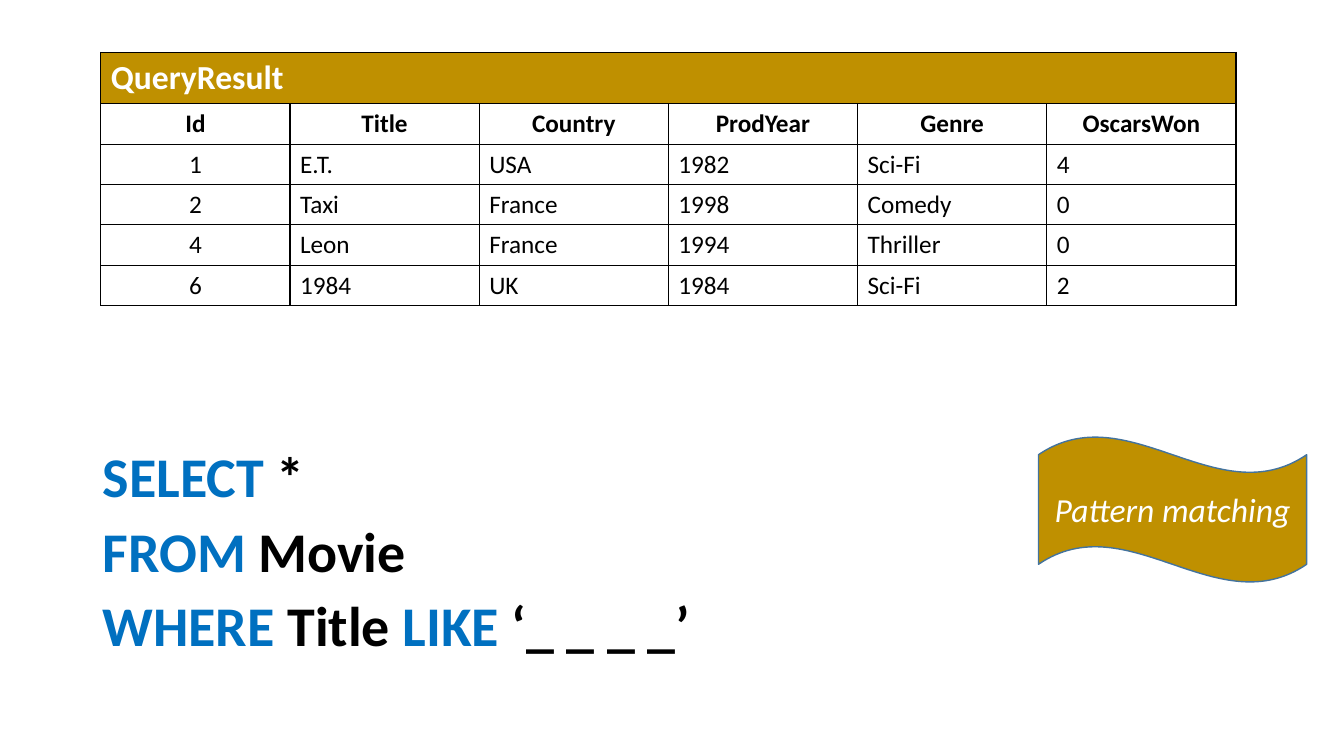
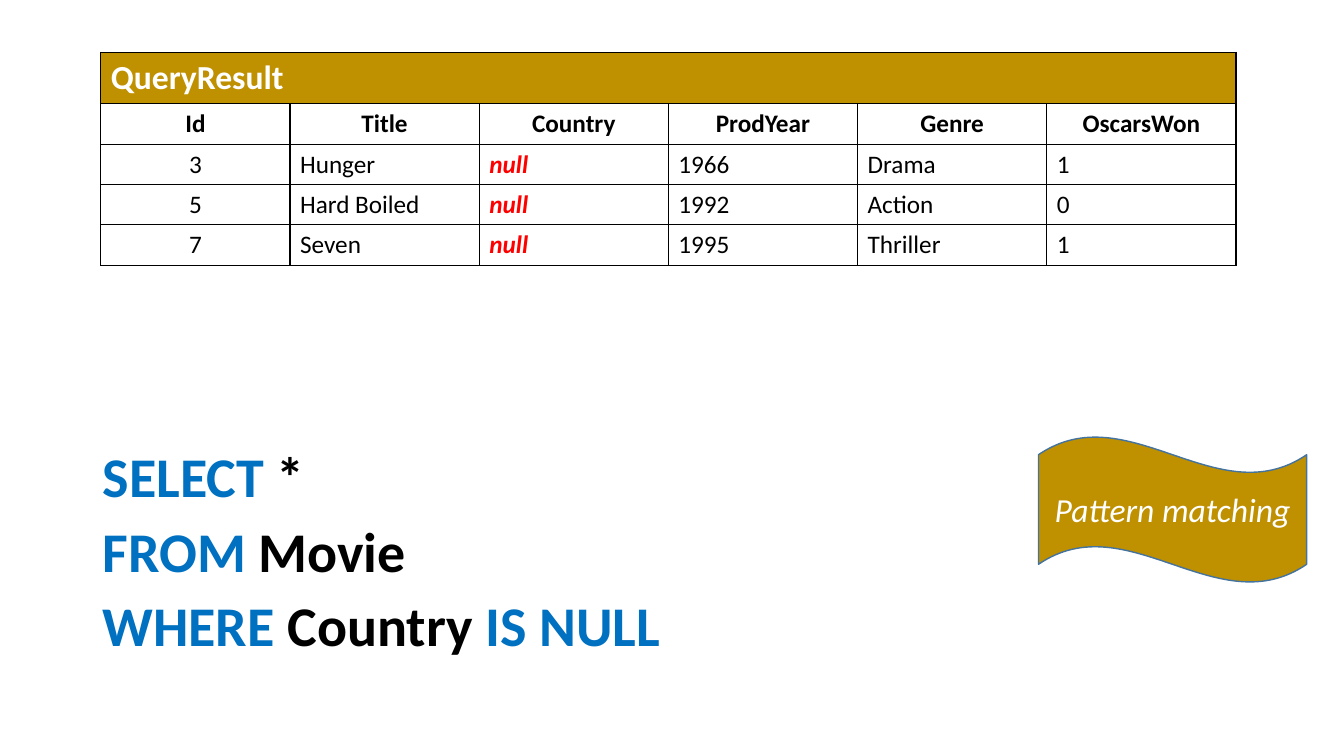
import pptx
import pptx.dml.color
import pptx.enum.shapes
import pptx.enum.text
import pptx.oxml
import pptx.oxml.ns
import pptx.util

PX = 9144
FONT = "Calibri"
GOLD = "BF9000"
BLUE = "0070C0"
BLACK = "000000"
WHITE = "FFFFFF"
RED = "FF0000"
WAVE_LINE = "43739E"
TITLE_ROW = 51
ROW = 40
CENTER = pptx.enum.text.PP_ALIGN.CENTER
LEFT = pptx.enum.text.PP_ALIGN.LEFT
HEADINGS = ["Id", "Title", "Country", "ProdYear", "Genre", "OscarsWon"]
QUERY_START = [
    [("SELECT", BLUE), (" *", BLACK)],
    [("FROM", BLUE), (" Movie", BLACK)],
]
QUERIES = [
    {
        "movies": [
            ["1", "E.T.", "USA", "1982", "Sci-Fi", "4"],
            ["2", "Taxi", "France", "1998", "Comedy", "0"],
            ["4", "Leon", "France", "1994", "Thriller", "0"],
            ["6", "1984", "UK", "1984", "Sci-Fi", "2"],
        ],
        "condition": [("WHERE ", BLUE), ("Title ", BLACK), ("LIKE", BLUE), (" ‘_ _ _ _’", BLACK)],
    },
    {
        "movies": [
            ["3", "Hunger", "null", "1966", "Drama", "1"],
            ["5", "Hard Boiled", "null", "1992", "Action", "0"],
            ["7", "Seven", "null", "1995", "Thriller", "1"],
        ],
        "condition": [("WHERE ", BLUE), ("Country ", BLACK), ("IS NULL", BLUE)],
    },
]


def color(value):
    return pptx.dml.color.RGBColor.from_string(value)


def add_run(paragraph, text, size, fill, bold=False, italic=False):
    run = paragraph.add_run()
    run.text = text
    run.font.name = FONT
    run.font.size = pptx.util.Pt(size)
    run.font.bold = bold
    run.font.italic = italic
    run.font.color.rgb = color(fill)


presentation = pptx.Presentation()
presentation.slide_width = 1333 * PX
presentation.slide_height = 750 * PX

for query in QUERIES:
    slide = presentation.slides.add_slide(presentation.slide_layouts[6])

    query_box = slide.shapes.add_textbox(92 * PX, 441 * PX, 1150 * PX, 255 * PX)
    query_box.text_frame.word_wrap = True
    for index, line in enumerate(QUERY_START + [query["condition"]]):
        if index == 0:
            paragraph = query_box.text_frame.paragraphs[0]
        else:
            paragraph = query_box.text_frame.add_paragraph()
            paragraph.space_before = pptx.util.Pt(10)
        paragraph.line_spacing = 0.9
        for text, fill in line:
            add_run(paragraph, text, 40, fill, bold=True)

    rows = [["QueryResult"] + [""] * 5, HEADINGS] + query["movies"]
    height = TITLE_ROW + ROW * (len(rows) - 1)
    table = slide.shapes.add_table(
        len(rows), len(HEADINGS), 100 * PX, 52 * PX, 1126 * PX, height * PX
    ).table
    table.first_row = False
    table.horz_banding = False
    for row_index, values in enumerate(rows):
        table.rows[row_index].height = (TITLE_ROW if row_index == 0 else ROW) * PX
        for column_index, text in enumerate(values):
            cell = table.cell(row_index, column_index)
            for side in ("lnL", "lnR", "lnT", "lnB"):
                cell._tc.get_or_add_tcPr().append(pptx.oxml.parse_xml(
                    f'<a:{side} {pptx.oxml.ns.nsdecls("a")} w="12700"><a:solidFill>'
                    f'<a:srgbClr val="{BLACK}"/></a:solidFill></a:{side}>'
                ))
            paragraph = cell.text_frame.paragraphs[0]
            if row_index == 0:
                cell.fill.solid()
                cell.fill.fore_color.rgb = color(GOLD)
                if text:
                    add_run(paragraph, text, 24, WHITE, bold=True)
                continue
            cell.fill.background()
            is_heading = row_index == 1
            is_null = text == "null"
            paragraph.alignment = CENTER if is_heading or column_index == 0 else LEFT
            add_run(paragraph, text, 18, RED if is_null else BLACK,
                    bold=is_heading or is_null, italic=is_null)
    table.cell(0, 0).merge(table.cell(0, len(HEADINGS) - 1))

    wave = slide.shapes.add_shape(
        pptx.enum.shapes.MSO_SHAPE.WAVE, 1030 * PX, 433 * PX, 266 * PX, 145 * PX
    )
    wave.shadow.inherit = False
    wave.fill.solid()
    wave.fill.fore_color.rgb = color(GOLD)
    wave.line.color.rgb = color(WAVE_LINE)
    wave.line.width = pptx.util.Pt(1)
    wave.text_frame.word_wrap = True
    wave.text_frame.vertical_anchor = pptx.enum.text.MSO_ANCHOR.MIDDLE
    paragraph = wave.text_frame.paragraphs[0]
    paragraph.alignment = CENTER
    add_run(paragraph, "Pattern matching", 24, WHITE, italic=True)

presentation.save("out.pptx")
